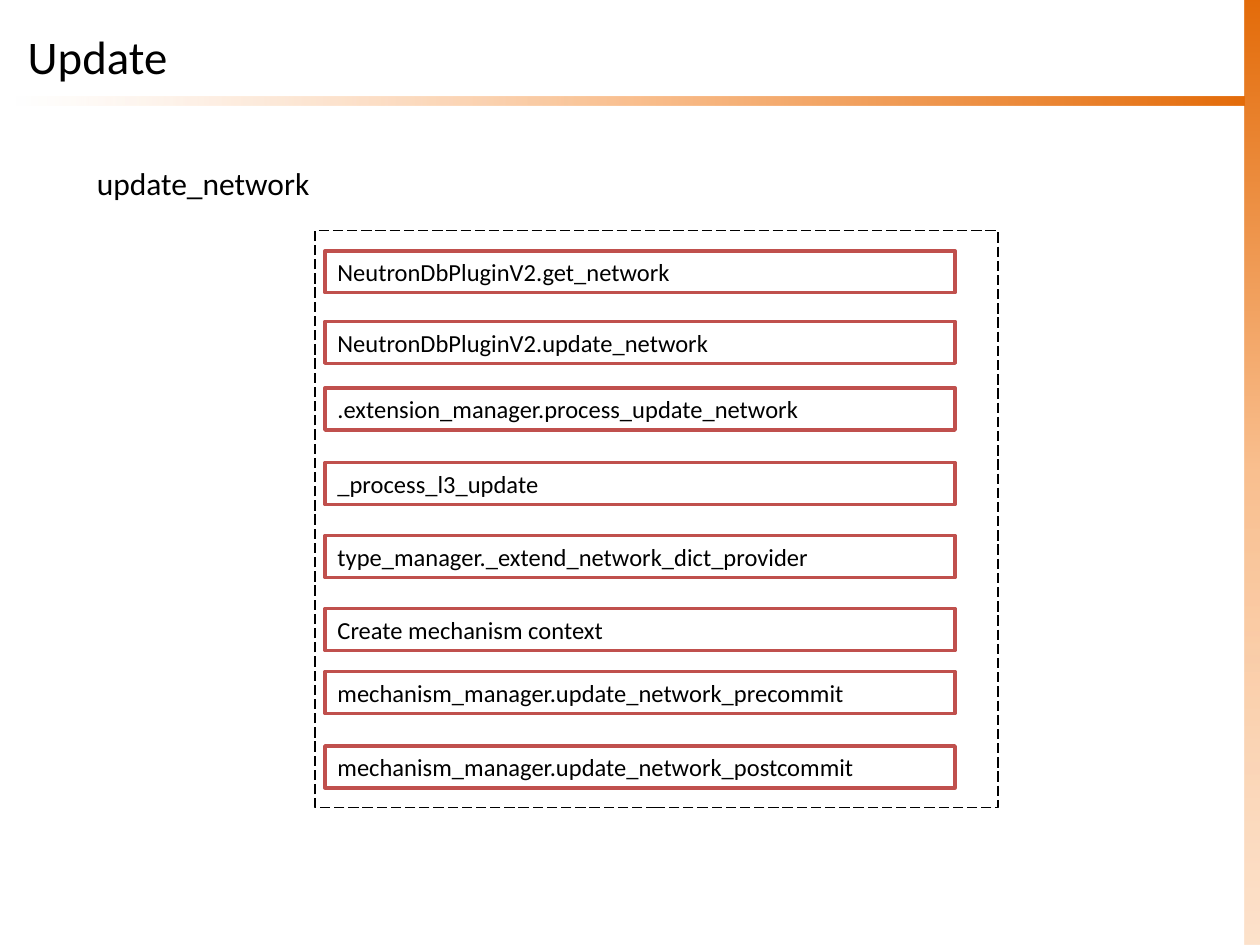
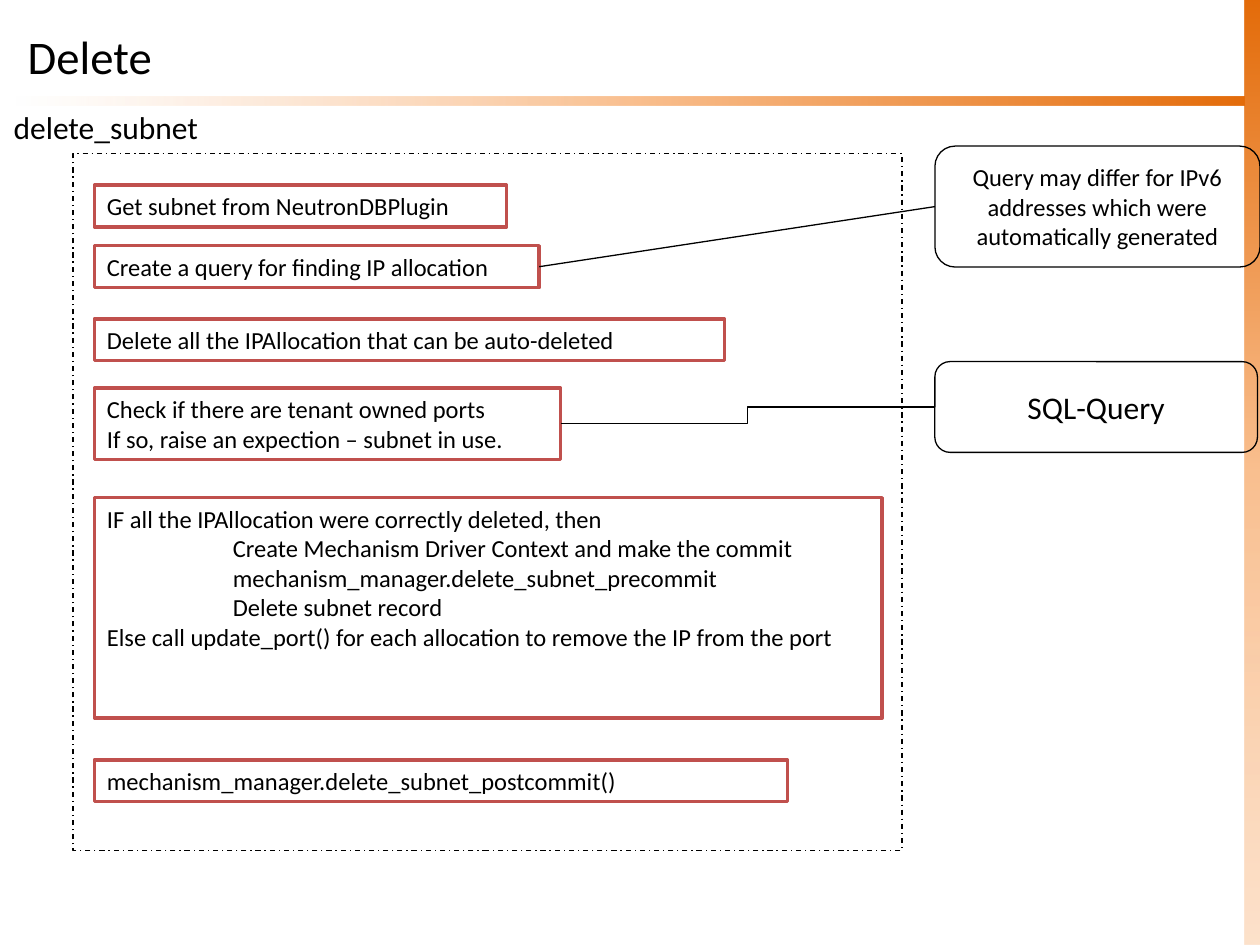
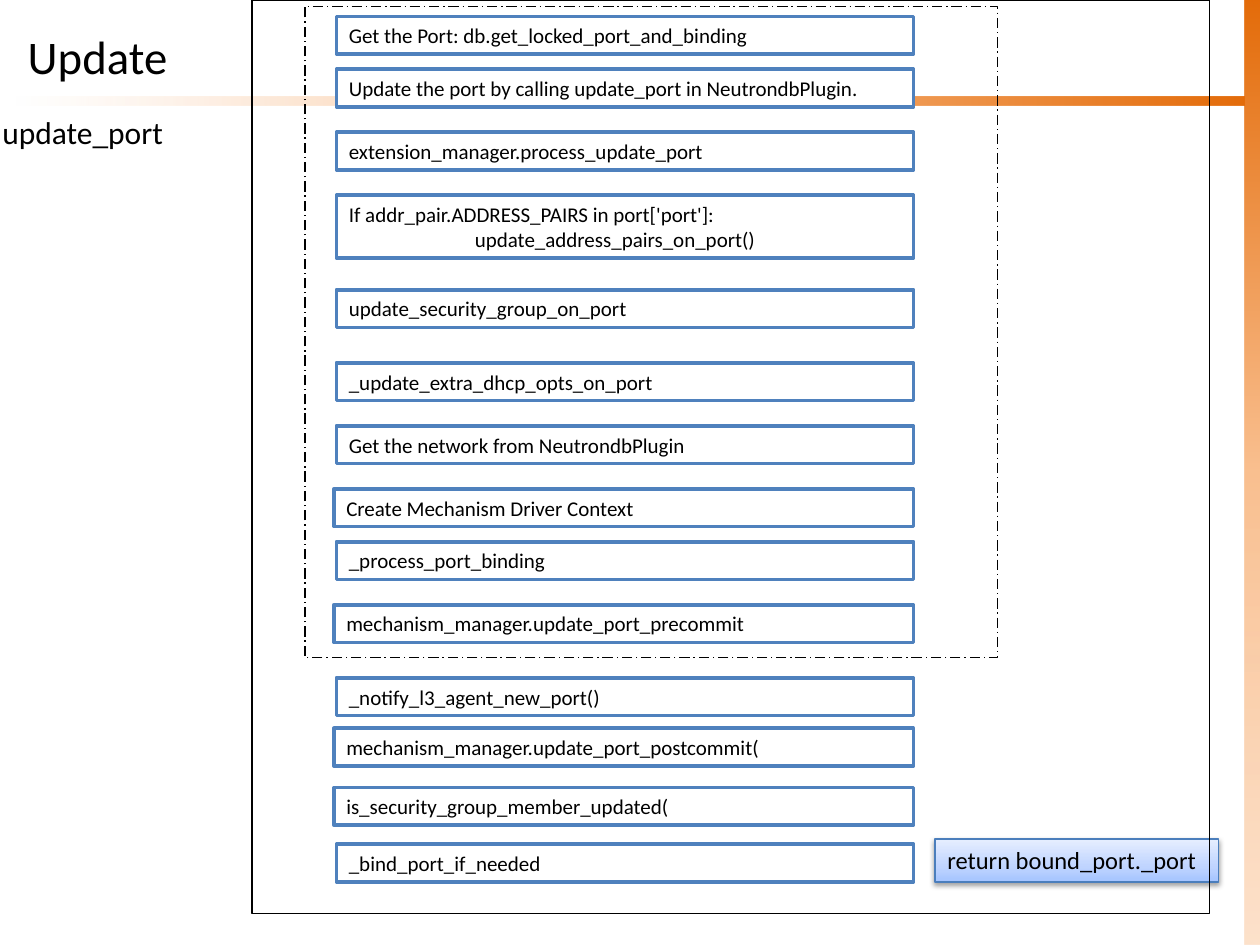
from dataclasses import dataclass

from lxml.etree import SubElement
from pptx import Presentation
from pptx.dml.color import RGBColor
from pptx.enum.dml import MSO_LINE
from pptx.enum.shapes import MSO_CONNECTOR, MSO_SHAPE
from pptx.enum.text import MSO_ANCHOR, MSO_AUTO_SIZE, PP_ALIGN
from pptx.oxml.ns import qn
from pptx.presentation import Presentation as Deck
from pptx.shapes.autoshape import Shape
from pptx.slide import Slide, SlideLayout
from pptx.text.text import TextFrame
from pptx.util import Inches, Pt

FONT = "Calibri"
BLACK, WHITE = "000000", "FFFFFF"
RED, BLUE = "C0504D", "4F81BD"
THIN, THICK = 0.75, 2
ORANGE, PEACH, CREAM = "E46C0A", "FAC090", "FCD5B5"
RIGHT, LEFT = 3, 1  # connection sites
TAB = 1.0


@dataclass
class Stop:
    pos: int
    color: str
    alpha: int = 100


@dataclass
class Step:
    """A framed call; a line that starts with a tab is indented."""
    left: float
    top: float
    width: float
    text: str
    size: int = 14
    line: str = RED
    height: float = 0

    def tall(self) -> float:
        rows = self.text.count("\n") + 1
        return self.height or 0.1 + rows * self.size * 1.2 / 72


@dataclass
class Frame:
    left: float
    top: float
    width: float
    height: float
    dash: MSO_LINE = MSO_LINE.SOLID


@dataclass
class Note:
    top: float
    width: float
    height: float
    text: str
    size: int


def rgb(color: str) -> RGBColor:
    return RGBColor.from_string(color)


def write(frame: TextFrame, text: str, size: float,
          align: PP_ALIGN = PP_ALIGN.LEFT,
          anchor: MSO_ANCHOR = MSO_ANCHOR.TOP) -> None:
    frame.text = text.replace("\t", "")
    frame.word_wrap = True
    frame.auto_size = MSO_AUTO_SIZE.NONE
    frame.vertical_anchor = anchor
    for par, row in zip(frame.paragraphs, text.split("\n")):
        par.alignment = align
        if row.startswith("\t"):
            par._p.get_or_add_pPr().set("marL", str(Inches(TAB)))
        for run in par.runs:
            run.font.name = FONT
            run.font.size = Pt(size)
            run.font.color.rgb = rgb(BLACK)


def draw(slide: Slide, left: float, top: float, width: float, height: float,
         line: str = "", weight: float = THIN, fill: str = "",
         kind: MSO_SHAPE = MSO_SHAPE.RECTANGLE) -> Shape:
    shape = slide.shapes.add_shape(
        kind, Inches(left), Inches(top), Inches(width), Inches(height))
    shape.shadow.inherit = False
    if fill:
        shape.fill.solid()
        shape.fill.fore_color.rgb = rgb(fill)
    else:
        shape.fill.background()
    if line:
        shape.line.color.rgb = rgb(line)
        shape.line.width = Pt(weight)
    else:
        shape.line.fill.background()
    return shape


def shade(shape: Shape, stops: list[Stop], angle: int) -> None:
    """Fill with a gradient; the angle runs counter-clockwise."""
    shape.fill.gradient()
    shape.fill.gradient_angle = angle
    items = shape.element.spPr.find(qn("a:gradFill")).find(qn("a:gsLst"))
    for old in list(items):
        items.remove(old)
    for stop in stops:
        item = SubElement(items, qn("a:gs"), pos=str(stop.pos * 1000))
        tint = SubElement(item, qn("a:srgbClr"), val=stop.color)
        if stop.alpha < 100:
            SubElement(tint, qn("a:alpha"), val=str(stop.alpha * 1000))


def dim(shape: Shape) -> None:
    """Cast a soft shadow straight down."""
    effects = shape.element.spPr.find(qn("a:effectLst"))
    cast = SubElement(effects, qn("a:outerShdw"), blurRad=str(Pt(3.1)),
                      dist=str(Pt(1.6)), dir="5400000", rotWithShape="0")
    tint = SubElement(cast, qn("a:srgbClr"), val=BLACK)
    SubElement(tint, qn("a:alpha"), val="38000")


def set_layout(layout: SlideLayout) -> None:
    for holder in list(layout.placeholders):
        if holder.placeholder_format.idx:
            holder.element.getparent().remove(holder.element)
    title = layout.placeholders[0]
    title.left, title.top = Inches(0.12), Inches(0.13)
    title.width, title.height = Inches(9.76), Inches(0.63)


def add_bands(slide: Slide) -> None:
    """Draw the side bar and the title rule, then hand them to the layout."""
    side = draw(slide, 9.88, 0, 0.12, 7.5)
    shade(side, [Stop(0, ORANGE), Stop(50, PEACH), Stop(100, CREAM, 69)], 270)
    rule = draw(slide, 0.12, 0.77, 9.76, 0.07)
    shade(rule, [Stop(0, CREAM, 0), Stop(50, PEACH), Stop(100, ORANGE)], 0)
    tree = slide.slide_layout.shapes.element
    for band in (side, rule):
        tree.append(band.element)


def add_slide(deck: Deck, title: str) -> Slide:
    slide = deck.slides.add_slide(deck.slide_layouts[5])
    write(slide.shapes.title.text_frame, title, 26.7,
          anchor=MSO_ANCHOR.MIDDLE)
    return slide


def add_head(slide: Slide, left: float, top: float, width: float,
             text: str) -> None:
    box = slide.shapes.add_textbox(
        Inches(left), Inches(top), Inches(width), Inches(0.4))
    write(box.text_frame, text, 18)


def add_step(slide: Slide, step: Step) -> Shape:
    box = draw(slide, step.left, step.top, step.width, step.tall(),
               step.line, THICK, WHITE)
    write(box.text_frame, step.text, step.size)
    return box


def add_frame(slide: Slide, frame: Frame) -> None:
    box = draw(slide, frame.left, frame.top, frame.width, frame.height, BLACK)
    box.line.dash_style = frame.dash


def add_note(slide: Slide, note: Note) -> Shape:
    box = draw(slide, 7.42, note.top, note.width, note.height, BLACK,
               kind=MSO_SHAPE.ROUNDED_RECTANGLE)
    write(box.text_frame, note.text, note.size,
          PP_ALIGN.CENTER, MSO_ANCHOR.MIDDLE)
    return box


def join(slide: Slide, start: Shape, end: Shape, kind: MSO_CONNECTOR) -> None:
    link = slide.shapes.add_connector(kind, 0, 0, 0, 0)
    link.begin_connect(start, RIGHT)
    link.end_connect(end, LEFT)
    link.line.color.rgb = rgb(BLACK)
    link.line.width = Pt(THIN)
    SubElement(link.element.spPr, qn("a:effectLst"))


def show_network(slide: Slide) -> None:
    add_head(slide, 0.67, 1.25, 2, "update_network")
    add_frame(slide, Frame(2.5, 1.83, 5.42, 4.58, MSO_LINE.LONG_DASH))
    calls = [
        (1.99, "NeutronDbPluginV2.get_network"),
        (2.55, "NeutronDbPluginV2.update_network"),
        (3.08, ".extension_manager.process_update_network"),
        (3.67, "_process_l3_update"),
        (4.25, "type_manager._extend_network_dict_provider"),
        (4.83, "Create mechanism context"),
        (5.33, "mechanism_manager.update_network_precommit"),
        (5.92, "mechanism_manager.update_network_postcommit"),
    ]
    for top, text in calls:
        add_step(slide, Step(2.58, top, 5, text))


def show_subnet(slide: Slide) -> None:
    calls = [
        (1.47, 3.27, 0, "Get subnet from NeutronDBPlugin"),
        (1.95, 3.53, 0, "Create a query for finding IP allocation"),
        (2.53, 5, 0, "Delete all the IPAllocation that can be auto-deleted"),
        (3.08, 3.7, 0, "Check if there are tenant owned ports\n"
                       "If so, raise an expection – subnet in use."),
        (3.95, 6.25, 1.75,
         "IF all the IPAllocation were correctly deleted, then\n"
         "\tCreate Mechanism Driver Context and make the commit\n"
         "\tmechanism_manager.delete_subnet_precommit\n"
         "\tDelete subnet record\n"
         "Else call update_port() for each allocation to remove the IP "
         "from the port"),
        (6.03, 5.5, 0, "mechanism_manager.delete_subnet_postcommit()"),
    ]
    boxes = [add_step(slide, Step(0.75, top, width, text, height=height))
             for top, width, height, text in calls]
    differ = add_note(slide, Note(
        1.16, 2.58, 0.96, "Query may differ for IPv6 addresses which were "
        "automatically generated", 14))
    query = add_note(slide, Note(2.87, 2.56, 0.72, "SQL-Query", 18))
    join(slide, boxes[1], differ, MSO_CONNECTOR.STRAIGHT)
    join(slide, boxes[3], query, MSO_CONNECTOR.ELBOW)
    add_head(slide, 0.01, 0.81, 1.79, "delete_subnet")
    add_frame(slide, Frame(0.58, 1.22, 6.58, 5.53, MSO_LINE.DASH_DOT))


def show_port(slide: Slide) -> None:
    near, far, edge = 2.67, 2.65, 7.25
    calls = [
        (near, 0.13, "Get the Port: db.get_locked_port_and_binding"),
        (near, 0.55,
         "Update the port by calling update_port in NeutrondbPlugin."),
        (near, 1.05, "extension_manager.process_update_port"),
        (near, 1.55, "If addr_pair.ADDRESS_PAIRS in port['port']:\n"
                     "\tupdate_address_pairs_on_port()"),
        (near, 2.3, "update_security_group_on_port"),
        (near, 2.88, "_update_extra_dhcp_opts_on_port"),
        (near, 3.38, "Get the network from NeutrondbPlugin"),
        (far, 3.88, "Create Mechanism Driver Context"),
        (near, 4.3, "_process_port_binding"),
        (far, 4.8, "mechanism_manager.update_port_precommit"),
        (near, 5.38, "_notify_l3_agent_new_port()"),
        (far, 5.78, "mechanism_manager.update_port_postcommit("),
        (far, 6.25, "is_security_group_member_updated("),
        (near, 6.7, "_bind_port_if_needed"),
    ]
    for left, top, text in calls:
        add_step(slide, Step(left, top, edge - left, text, 12, BLUE))
    result = draw(slide, 7.42, 6.66, 2.25, 0.34, "4B7EBC")
    shade(result, [Stop(0, "A4C4FF"), Stop(35, "BFD4FF"),
                   Stop(100, "E6EEFF")], 90)
    dim(result)
    write(result.text_frame, "return bound_port._port", 14)
    add_head(slide, -0.08, 0.85, 1.55, "update_port")
    add_frame(slide, Frame(2.42, 0.05, 5.5, 5.17, MSO_LINE.LONG_DASH_DOT))
    add_frame(slide, Frame(2, 0, 7.6, 7.25))


def main() -> None:
    deck = Presentation()
    deck.slide_width, deck.slide_height = Inches(10), Inches(7.5)
    set_layout(deck.slide_layouts[5])
    first = add_slide(deck, "Update")
    add_bands(first)
    show_network(first)
    show_subnet(add_slide(deck, "Delete"))
    show_port(add_slide(deck, "Update"))
    deck.save("out.pptx")


if __name__ == "__main__":
    main()
